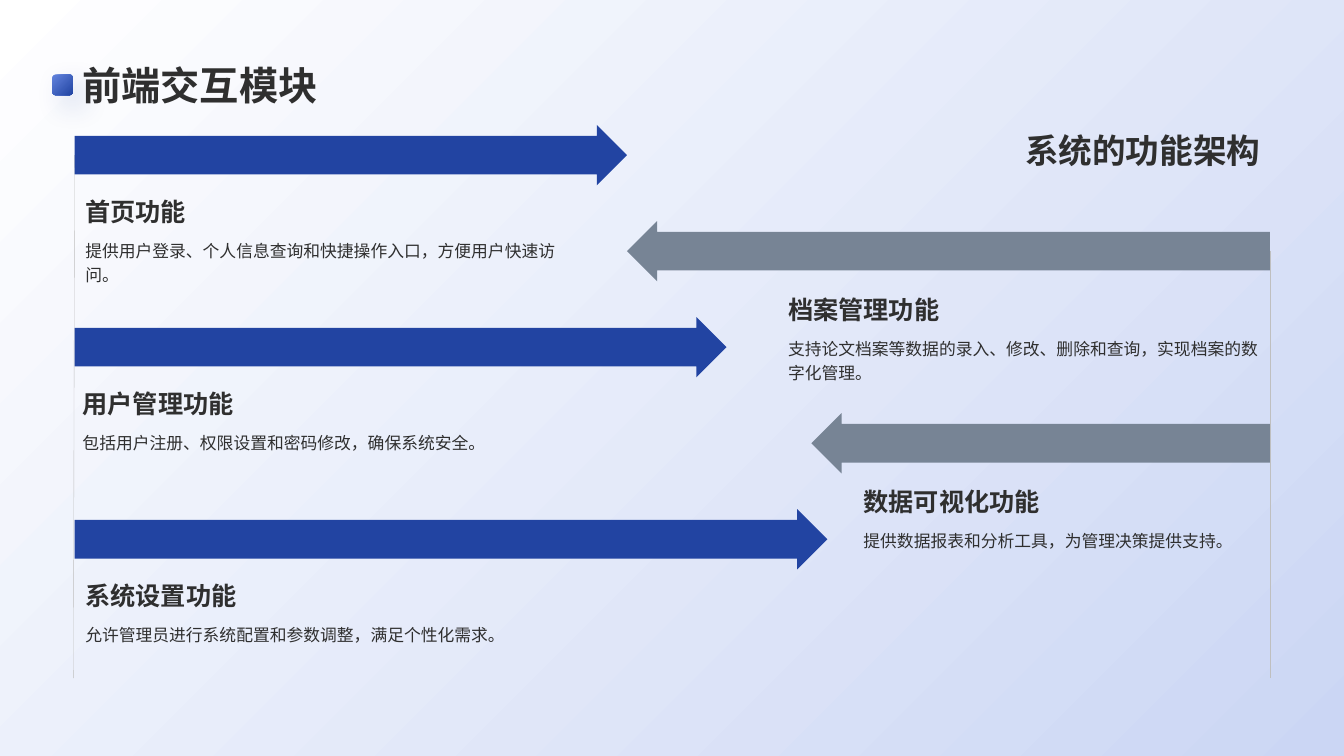
from dataclasses import dataclass

from lxml import etree
from pptx import Presentation
from pptx.dml.color import RGBColor
from pptx.enum.shapes import MSO_CONNECTOR, MSO_SHAPE
from pptx.enum.text import MSO_ANCHOR, PP_ALIGN
from pptx.oxml.ns import qn
from pptx.slide import Slide
from pptx.util import Cm, Pt

RIGHT_ARROW = MSO_SHAPE.RIGHT_ARROW
LEFT_ARROW = MSO_SHAPE.LEFT_ARROW
ROUND_BOX = MSO_SHAPE.ROUNDED_RECTANGLE
STRAIGHT = MSO_CONNECTOR.STRAIGHT
TOP, BOTTOM = MSO_ANCHOR.TOP, MSO_ANCHOR.BOTTOM
ALIGN_LEFT, ALIGN_RIGHT = PP_ALIGN.LEFT, PP_ALIGN.RIGHT

BLUE = RGBColor(0x22, 0x44, 0xA2)
SKY = RGBColor(0x63, 0x84, 0xDE)
GREY = RGBColor(0x77, 0x84, 0x95)
RULE = RGBColor(0xBF, 0xBF, 0xBF)
INK = RGBColor(0x2F, 0x2F, 0x2F)
PALE = RGBColor(0xCB, 0xD6, 0xF4)
WHITE = RGBColor(0xFF, 0xFF, 0xFF)

# All lengths below are in centimetres.
LEFT, RIGHT = 1.88, 32.0
FIRST, PITCH = 3.15, 2.42
ARROW_H, HEAD_H = 1.52, 1.3
FOOT = 17.09


@dataclass
class Feature:
    head: str
    body: str
    tip: float
    text_x: float
    text_end: float
    body_h: float = 2.1
    from_left: bool = True


FEATURES = [
    Feature("首页功能", "提供用户登录、个人信息查询和快捷操作入口，方便用户快速访问。",
            15.8, 1.9, 14.27),
    Feature("档案管理功能", "支持论文档案等数据的录入、修改、删除和查询，实现档案的数字化管理。",
            15.8, 19.61, 32.0, from_left=False),
    Feature("用户管理功能", "包括用户注册、权限设置和密码修改，确保系统安全。",
            18.31, 1.83, 14.27),
    Feature("数据可视化功能", "提供数据报表和分析工具，为管理决策提供支持。",
            20.45, 21.51, 31.97, from_left=False),
    Feature("系统设置功能", "允许管理员进行系统配置和参数调整，满足个性化需求。",
            20.85, 1.9, 18.29, body_h=1.3),
]


def blend(fill, start: RGBColor, end: RGBColor, angle: float) -> None:
    """Fill with a two-colour gradient; the angle runs counter-clockwise."""
    fill.gradient()
    fill.gradient_angle = angle
    for stop, color in zip(fill.gradient_stops, (start, end)):
        stop.color.rgb = color


def add_text(slide: Slide, text: str, x: float, y: float, w: float, h: float,
             size: float, bold: bool = True, anchor=TOP, align=ALIGN_LEFT,
             spacing: float = 1.0) -> None:
    frame = slide.shapes.add_textbox(Cm(x), Cm(y), Cm(w), Cm(h)).text_frame
    frame.word_wrap = True
    frame.vertical_anchor = anchor
    frame.text = text
    para = frame.paragraphs[0]
    para.alignment = align
    para.line_spacing = spacing
    font = para.runs[0].font
    font.name, font.size, font.bold = "Arial", Pt(size), bold
    font.color.rgb = INK


def add_rule(slide: Slide, x1: float, y1: float, x2: float, y2: float) -> None:
    rule = slide.shapes.add_connector(STRAIGHT, Cm(x1), Cm(y1), Cm(x2), Cm(y2))
    rule.line.color.rgb = RULE
    rule.line.width = Pt(0.25)
    etree.SubElement(rule._element.spPr, qn("a:effectLst"))


def add_badge(slide: Slide) -> None:
    """Draw the small shaded square beside the title."""
    badge = slide.shapes.add_shape(ROUND_BOX, Cm(1.32), Cm(1.88), Cm(0.52), Cm(0.52))
    blend(badge.fill, SKY, BLUE, 315)
    badge.line.fill.background()
    badge.shadow.inherit = False
    effects = badge._element.spPr.find(qn("a:effectLst"))
    shade = etree.SubElement(effects, qn("a:outerShdw"), blurRad=str(Pt(20)),
                             dist=str(Pt(10)), dir=str(45 * 60000))
    color = etree.SubElement(shade, qn("a:srgbClr"), val=str(BLUE))
    etree.SubElement(color, qn("a:alpha"), val="20000")


def add_feature(slide: Slide, item: Feature, y: float) -> None:
    if item.from_left:
        kind, color, x, end, drop = RIGHT_ARROW, BLUE, LEFT, item.tip, 1.39
    else:
        kind, color, x, end, drop = LEFT_ARROW, GREY, item.tip, RIGHT, 1.44
    arrow = slide.shapes.add_shape(kind, Cm(x), Cm(y), Cm(end - x), Cm(ARROW_H))
    arrow.adjustments[0] = 0.64
    arrow.adjustments[1] = 0.5
    arrow.fill.solid()
    arrow.fill.fore_color.rgb = color
    arrow.line.fill.background()
    arrow.shadow.inherit = False

    top = y + drop
    width = item.text_end - item.text_x
    add_text(slide, item.head, item.text_x, top, width, HEAD_H, 18, anchor=BOTTOM)
    add_text(slide, item.body, item.text_x, top + HEAD_H, width, item.body_h, 12,
             bold=False, spacing=1.2)


def main() -> None:
    deck = Presentation()
    deck.slide_width, deck.slide_height = Cm(33.87), Cm(19.05)
    slide = deck.slides.add_slide(deck.slide_layouts[6])
    blend(slide.background.fill, PALE, WHITE, 135)

    add_badge(slide)
    add_text(slide, "前端交互模块", 1.83, 0.36, 30.17, 2.49, 28, anchor=BOTTOM)
    add_rule(slide, LEFT, 3.91, 1.85, FOOT)
    add_rule(slide, RIGHT, 6.32, RIGHT, FOOT)
    for row, item in enumerate(FEATURES):
        add_feature(slide, item, FIRST + row * PITCH)
    add_text(slide, "系统的功能架构", 16.64, FIRST, 15.37, 2.1, 24, align=ALIGN_RIGHT)

    deck.save("out.pptx")


if __name__ == "__main__":
    main()
